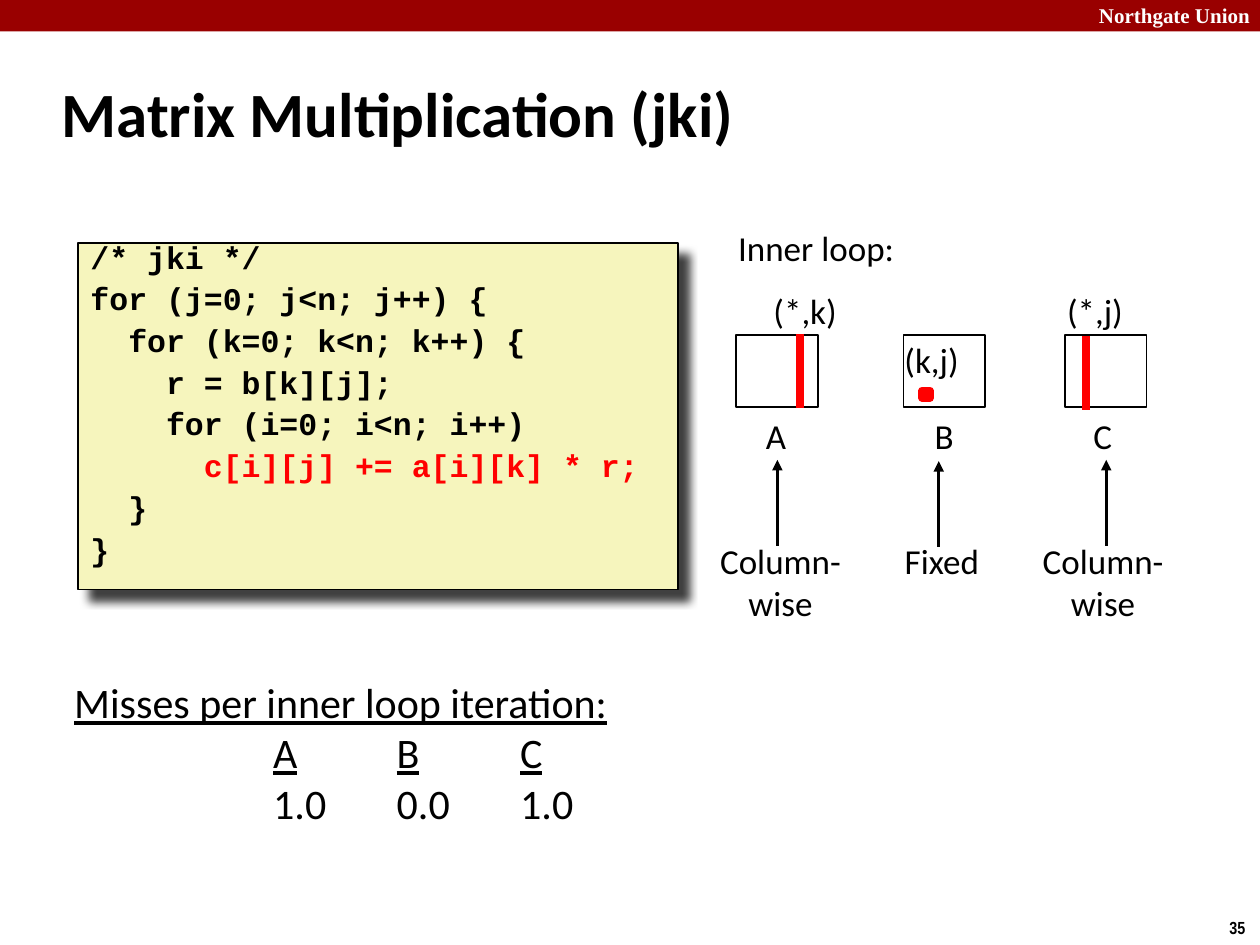
"""Build the slide on the cache misses of jki matrix multiplication."""
from lxml.etree import SubElement
from pptx import Presentation
from pptx.dml.color import RGBColor
from pptx.enum.shapes import MSO_CONNECTOR, MSO_SHAPE
from pptx.enum.text import MSO_ANCHOR as ANCHOR, PP_ALIGN as ALIGN
from pptx.oxml import parse_xml
from pptx.oxml.ns import nsdecls, qn
from pptx.util import Inches, Pt

BLACK = RGBColor(0x00, 0x00, 0x00)
WHITE = RGBColor(0xFF, 0xFF, 0xFF)
RED = RGBColor(0xFF, 0x00, 0x00)
CRIMSON = RGBColor(0x99, 0x00, 0x00)
CREAM = RGBColor(0xF6, 0xF5, 0xBD)

TITLE = {"name": "Calibri", "size": Pt(36), "bold": True}
LABEL = {"name": "Calibri", "size": Pt(20)}
BODY = {"name": "Calibri", "size": Pt(24)}
CODE = {"name": "Courier New", "size": Pt(18), "bold": True}
BRAND = {"name": "Times New Roman", "size": Pt(12), "bold": True}
NUMBER = {"name": "Arial Narrow", "size": Pt(10), "bold": True}

CODE_LINES = [
    "/* jki */",
    "for (j=0; j<n; j++) {",
    "  for (k=0; k<n; k++) {",
    "    r = b[k][j];",
    "    for (i=0; i<n; i++)",
    "      c[i][j] += a[i][k] * r;",
    "  }",
    "}",
]
HOT_LINE = 5

# name, box left, name left, access left/width, access, arrow x, arrow top
MATRICES = [
    ("A", 5.84, 5.98, 6.17, 3.65, (5.61, 1.17), ["Column-", "wise"]),
    ("B", 7.17, 7.32, 7.45, 3.66, (7.08, 0.79), ["Fixed"]),
    ("C", 8.45, 8.58, 8.78, 3.65, (8.17, 1.17), ["Column-", "wise"]),
]
INDICES = [("(*,k)", 6.04, 2.25, 0.71), ("(k,j)", 7.08, 2.64, 0.63), ("(*,j)", 8.37, 2.25, 0.65)]


class SlideBuilder:
    """Hold the slide and draw its kinds of element."""

    def __init__(self, slide):
        self.shapes = slide.shapes

    def run(self, p, text, fmt, color=BLACK, underline=None):
        """Add one formatted run to a paragraph."""
        r = p.add_run()
        r.text = text
        for key, value in {**fmt, "underline": underline}.items():
            setattr(r.font, key, value)
        r.font.color.rgb = color

    def rect(self, x, y, w, h, fill, line=None, weight=1):
        """Add a filled rectangle."""
        sp = self.shapes.add_shape(MSO_SHAPE.RECTANGLE, Inches(x), Inches(y), Inches(w), Inches(h))
        sp.shadow.inherit = False
        sp.fill.solid()
        sp.fill.fore_color.rgb = fill
        if line is None:
            sp.line.fill.background()
        else:
            sp.line.color.rgb = line
            sp.line.width = Pt(weight)
        return sp

    def text(self, x, y, w, h, lines, fmt, color=BLACK, align=ALIGN.LEFT, wrap=False, anchor=ANCHOR.TOP):
        """Add a text box with one paragraph a line."""
        tf = self.shapes.add_textbox(Inches(x), Inches(y), Inches(w), Inches(h)).text_frame
        tf.word_wrap = wrap
        tf.vertical_anchor = anchor
        for i, line in enumerate(lines):
            p = tf.add_paragraph() if i else tf.paragraphs[0]
            p.alignment = align
            self.run(p, line, fmt, color)

    def line(self, x, y1, y2, color, weight, arrow=False):
        """Add an upright line, with an arrowhead at its end if asked."""
        cn = self.shapes.add_connector(MSO_CONNECTOR.STRAIGHT, Inches(x), Inches(y1), Inches(x), Inches(y2))
        cn.line.color.rgb = color
        cn.line.width = Pt(weight)
        if arrow:
            SubElement(cn.line._get_or_add_ln(), qn("a:tailEnd"), type="triangle")
        SubElement(cn._element.spPr, qn("a:effectLst"))

    def code(self, x, y, w, h, lines, hot):
        """Add a shadowed code panel with one line picked out in red."""
        sp = self.rect(x, y, w, h, CREAM, BLACK)
        effects = sp._element.spPr.find(qn("a:effectLst"))
        effects.append(parse_xml(
            f'<a:outerShdw {nsdecls("a")} blurRad="{Pt(5)}" dist="{Pt(8.5)}" dir="2700000" algn="tl" '
            'rotWithShape="0"><a:srgbClr val="000000"><a:alpha val="75000"/></a:srgbClr></a:outerShdw>'))
        tf = sp.text_frame
        tf.word_wrap = True
        tf.vertical_anchor = ANCHOR.TOP
        for i, line in enumerate(lines):
            p = tf.add_paragraph() if i else tf.paragraphs[0]
            for key, value in {"alignment": ALIGN.LEFT, "line_spacing": 0.65, "space_before": Pt(9.8)}.items():
                setattr(p, key, value)
            self.run(p, line, CODE, RED if i == hot else BLACK)

    def misses(self, x, y, w, h, heading, rows, stops):
        """Add an underlined heading over tabbed rows."""
        tf = self.shapes.add_textbox(Inches(x), Inches(y), Inches(w), Inches(h)).text_frame
        tf.word_wrap = True
        self.run(tf.paragraphs[0], heading, BODY, underline=True)
        for cells, underline in rows:
            p = tf.add_paragraph()
            tabs = SubElement(p._p.get_or_add_pPr(), qn("a:tabLst"))
            for stop in stops:
                SubElement(tabs, qn("a:tab"), pos=str(Inches(stop)), algn="l")
            for cell in cells:
                self.run(p, "\t", BODY)
                self.run(p, cell, BODY, underline=underline)


def main():
    """Build and save the slide."""
    prs = Presentation()
    prs.slide_width, prs.slide_height = Inches(10), Inches(7.5)
    s = SlideBuilder(prs.slides.add_slide(prs.slide_layouts[6]))

    s.rect(0, 0, 10, 0.25, CRIMSON)
    s.text(8.59, -0.03, 1.43, 0.3, ["Northgate Union"], BRAND, WHITE, ALIGN.RIGHT)
    s.text(9.66, 7.23, 0.34, 0.27, ["35"], NUMBER)
    s.text(0.39, 0.48, 8.3, 0.83, ["Matrix Multiplication (jki)"], TITLE, wrap=True, anchor=ANCHOR.MIDDLE)
    s.code(0.62, 1.93, 4.76, 2.75, CODE_LINES, HOT_LINE)

    s.text(5.76, 1.75, 1.45, 0.43, ["Inner loop:"], LABEL)
    for name, box_x, name_x, arrow_x, arrow_y, (access_x, access_w), access in MATRICES:
        s.rect(box_x, 2.66, 0.65, 0.57, WHITE, BLACK)
        s.text(name_x, 3.24, 0.36, 0.43, [name], LABEL)
        s.text(access_x, 4.23, access_w, 0.1 + 0.33 * len(access), access, LABEL, align=ALIGN.CENTER)
        s.line(arrow_x, arrow_y + 0.68, arrow_y, BLACK, 2, arrow=True)
    s.rect(7.32, 3.1, 0.06, 0.06, RED, RED, 4.5)
    for x, bottom, top in [(6.35, 3.24, 2.65), (8.62, 3.25, 2.67)]:
        s.line(x, bottom, top, RED, 4.5)
    for index, x, y, w in INDICES:
        s.text(x, y, w, 0.43, [index], LABEL)

    s.misses(0.49, 5.32, 6.01, 1.34, "Misses per inner loop iteration:",
             [("ABC", True), (["1.0", "0.0", "1.0"], False)], [1.58, 2.56, 3.54])
    prs.save("out.pptx")


if __name__ == "__main__":
    main()
